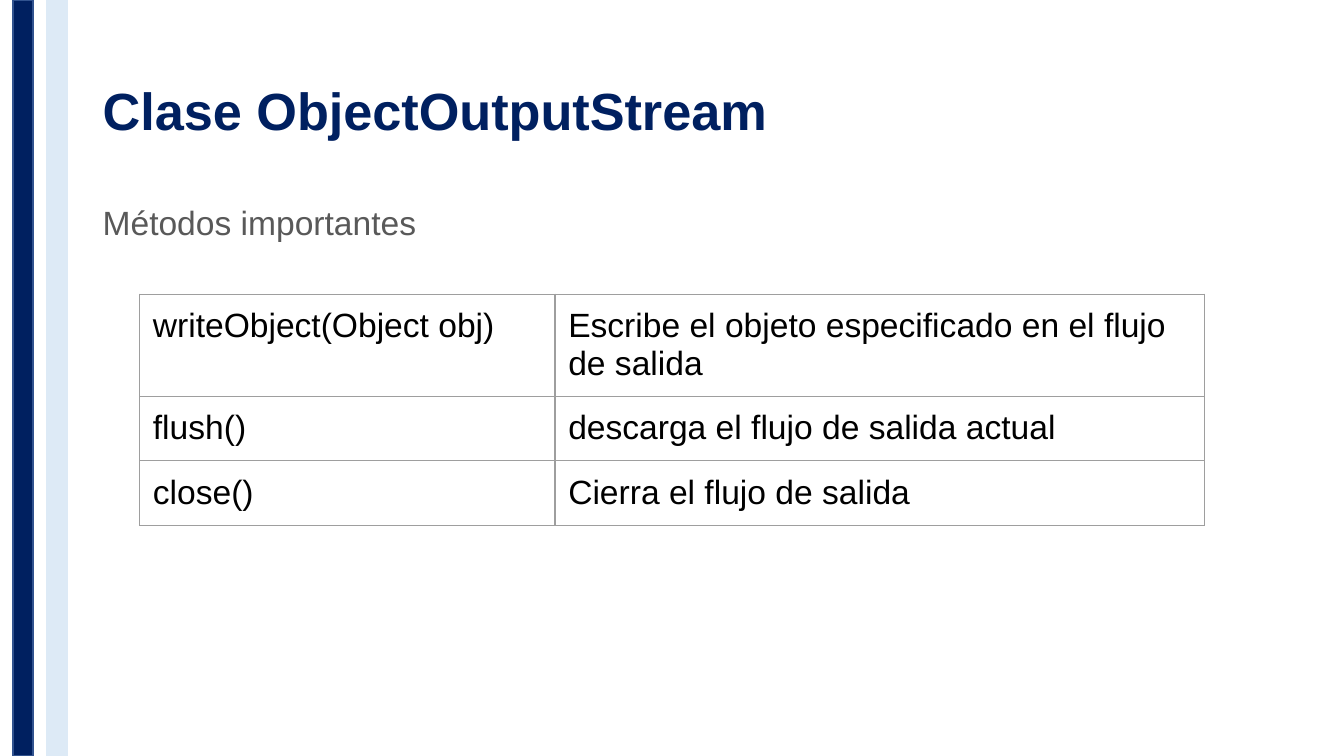
"""Builds the slide on the methods of ObjectOutputStream."""
from lxml import etree
from pptx import Presentation
from pptx.dml.color import RGBColor
from pptx.enum.shapes import MSO_SHAPE
from pptx.enum.text import MSO_ANCHOR, MSO_AUTO_SIZE, PP_ALIGN
from pptx.oxml.ns import qn
from pptx.util import Cm, Pt

RECT = MSO_SHAPE.RECTANGLE
TOP, MIDDLE = MSO_ANCHOR.TOP, MSO_ANCHOR.MIDDLE
NO_AUTOFIT = MSO_AUTO_SIZE.NONE
LEFT = PP_ALIGN.LEFT
COLORS = {"navy": "002060", "navy_line": "31538F", "pale": "DDEAF6",
          "gray": "595959", "black": "000000", "border": "9E9E9E"}


def write(tf, text, size=18, color="black", bold=False, spacing=None, before=0):
    p = tf.paragraphs[0]
    p.alignment = LEFT
    p.line_spacing = spacing
    p.space_before = Pt(before)
    r = p.add_run()
    r.text = text
    r.font.name = "Arial"
    r.font.size = Pt(size)
    r.font.bold = bold
    r.font.color.rgb = RGBColor.from_string(COLORS[color])


prs = Presentation()
prs.slide_width, prs.slide_height = Cm(25.4), Cm(14.29)
s = prs.slides.add_slide(prs.slide_layouts[1])

for left, fill, line in ((0.25, "navy", "navy_line"), (0.89, "pale", "pale")):
    bar = s.shapes.add_shape(RECT, Cm(left), 0, Cm(0.38), prs.slide_height)
    bar.shadow.inherit = False
    bar.fill.solid()
    bar.fill.fore_color.rgb = RGBColor.from_string(COLORS[fill])
    bar.line.color.rgb = RGBColor.from_string(COLORS[line])
    bar.line.width = Pt(1)

title, body = s.shapes.title, s.placeholders[1]
for sp, top, height, anchor in ((title, 0.76, 2.77, MIDDLE), (body, 3.8, 9.07, TOP)):
    sp.left, sp.top, sp.width, sp.height = Cm(1.75), Cm(top), Cm(21.9), Cm(height)
    tf = sp.text_frame
    tf.word_wrap = True
    tf.auto_size = NO_AUTOFIT
    tf.vertical_anchor = anchor
    tf.margin_left = tf.margin_right = Cm(0.19)
    tf.margin_top = tf.margin_bottom = Cm(0.1)

write(title.text_frame, "Clase ObjectOutputStream", size=28, color="navy", bold=True, spacing=0.9)
write(body.text_frame, "Métodos importantes", color="gray", spacing=0.9, before=8)
pPr = body.text_frame.paragraphs[0]._p.get_or_add_pPr()
pPr.set("marL", "0")
pPr.set("indent", "0")
etree.SubElement(pPr, qn("a:buNone"))

methods = (
    ("writeObject(Object obj)", "Escribe el objeto especificado en el flujo de salida"),
    ("flush()", "descarga el flujo de salida actual"),
    ("close()", "Cierra el flujo de salida"),
)
col_widths = (7.85, 12.27)
row_heights = (1.93, 1.22, 1.22)
table = s.shapes.add_table(len(methods), len(col_widths), Cm(2.64), Cm(5.56),
                           Cm(sum(col_widths)), Cm(sum(row_heights))).table
table.first_row = table.horz_banding = False
for col, width in zip(table.columns, col_widths):
    col.width = Cm(width)
for row, height, texts in zip(table.rows, row_heights, methods):
    row.height = Cm(height)
    for cell, text in zip(row.cells, texts):
        cell.margin_left = cell.margin_right = Cm(0.25)
        cell.margin_top = cell.margin_bottom = Cm(0.25)
        write(cell.text_frame, text)
        tcPr = cell._tc.get_or_add_tcPr()
        for side in ("a:lnL", "a:lnR", "a:lnT", "a:lnB"):
            ln = etree.SubElement(tcPr, qn(side), w=str(Pt(0.75)))
            fill = etree.SubElement(ln, qn("a:solidFill"))
            etree.SubElement(fill, qn("a:srgbClr"), val=COLORS["border"])
        cell.fill.background()

prs.save("out.pptx")
